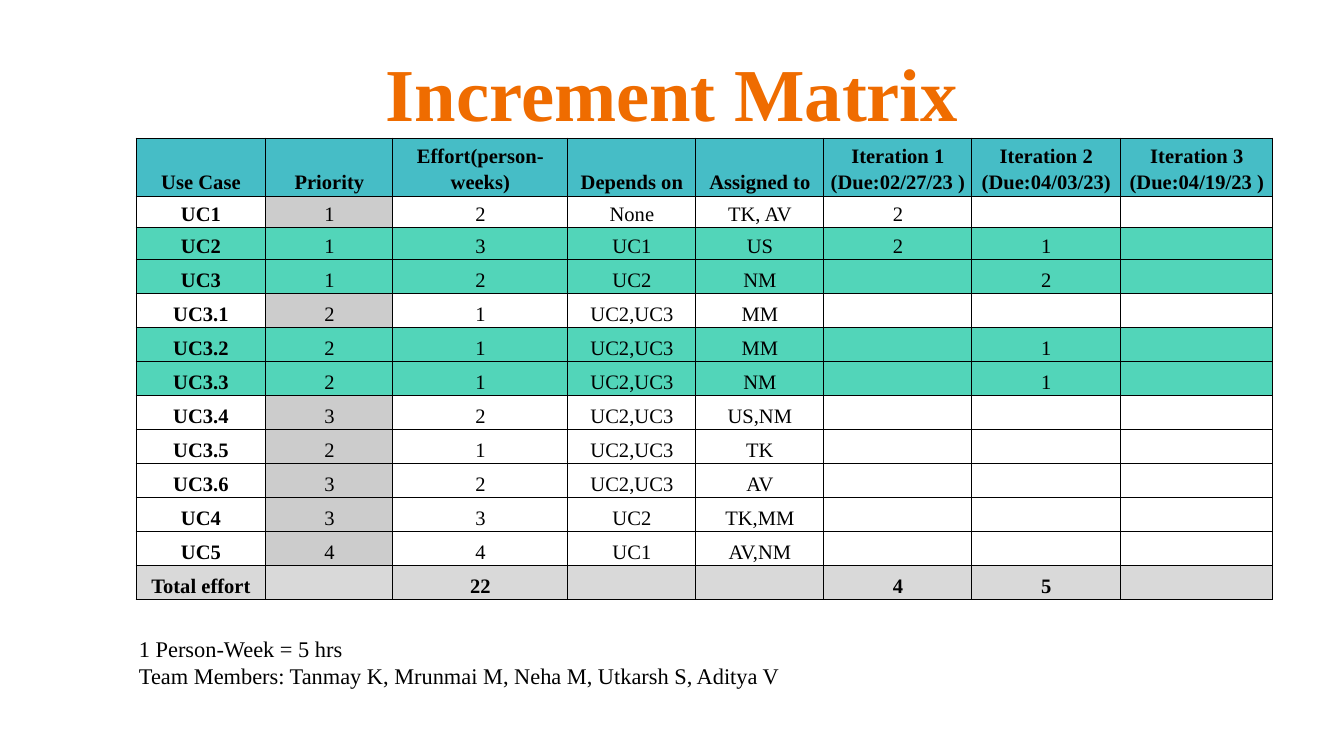
from dataclasses import dataclass

from lxml.etree import SubElement
from pptx import Presentation
from pptx.dml.color import RGBColor
from pptx.enum.text import MSO_ANCHOR as Anchor, MSO_AUTO_SIZE as AutoSize, PP_ALIGN as Align
from pptx.oxml.ns import qn
from pptx.util import Emu, Pt

EMU_PER_PX = 914400 / 134.4


def px(value):
    return Emu(round(value * EMU_PER_PX))


@dataclass(frozen=True)
class Theme:
    font: str = "Times New Roman"
    title: str = "EF6C00"
    text: str = "000000"
    border: str = "000000"
    header: str = "46BDC6"
    planned: str = "52D5B9"
    priority: str = "CCCCCC"
    total: str = "D9D9D9"
    title_size: int = 40
    table_size: int = 11
    note_size: int = 12
    border_width: float = 0.6


HEADERS = [
    "Use Case", "Priority", "Effort(person-weeks)", "Depends on", "Assigned to",
    "Iteration 1\n(Due:02/27/23 )", "Iteration 2\n(Due:04/03/23)", "Iteration 3\n(Due:04/19/23 )",
]
USE_CASES = [
    ["UC1", "1", "2", "None", "TK, AV", "2", "", ""],
    ["UC2", "1", "3", "UC1", "US", "2", "1", ""],
    ["UC3", "1", "2", "UC2", "NM", "", "2", ""],
    ["UC3.1", "2", "1", "UC2,UC3", "MM", "", "", ""],
    ["UC3.2", "2", "1", "UC2,UC3", "MM", "", "1", ""],
    ["UC3.3", "2", "1", "UC2,UC3", "NM", "", "1", ""],
    ["UC3.4", "3", "2", "UC2,UC3", "US,NM", "", "", ""],
    ["UC3.5", "2", "1", "UC2,UC3", "TK", "", "", ""],
    ["UC3.6", "3", "2", "UC2,UC3", "AV", "", "", ""],
    ["UC4", "3", "3", "UC2", "TK,MM", "", "", ""],
    ["UC5", "4", "4", "UC1", "AV,NM", "", "", ""],
]
TOTALS = ["Total effort", "", "22", "", "", "4", "5", ""]
PLANNED = {"UC2", "UC3", "UC3.2", "UC3.3"}
COLUMN_WIDTHS = [130, 127, 175, 128, 128, 148, 149, 152]
ROW_HEIGHTS = [58, 32, 32] + [34] * 10


class SlideBuilder:
    def __init__(self, slide, theme):
        self.slide = slide
        self.theme = theme

    def style(self, paragraph, size, color, bold=False, align=Align.LEFT):
        paragraph.alignment = align
        font = paragraph.font
        font.name, font.size, font.bold = self.theme.font, Pt(size), bold
        font.color.rgb = RGBColor.from_string(color)

    def frame(self, shape, top_inset=13):
        frame = shape.text_frame
        frame.word_wrap = True
        frame.auto_size = AutoSize.NONE
        frame.vertical_anchor = Anchor.TOP
        frame.margin_left = frame.margin_right = frame.margin_bottom = px(13)
        frame.margin_top = px(top_inset)
        return frame

    def title(self, text, left, top, width, height):
        shape = self.slide.shapes.title
        shape.left, shape.top, shape.width, shape.height = map(px, (left, top, width, height))
        frame = self.frame(shape, top_inset=22)
        frame.text = text
        self.style(frame.paragraphs[0], self.theme.title_size, self.theme.title, True, Align.CENTER)

    def note(self, text, left, top, width, height):
        shape = self.slide.shapes.add_textbox(*map(px, (left, top, width, height)))
        frame = self.frame(shape)
        frame.text = text
        for paragraph in frame.paragraphs:
            self.style(paragraph, self.theme.note_size, self.theme.text)

    def border(self, cell):
        properties = cell._tc.get_or_add_tcPr()
        for side in ("lnL", "lnR", "lnT", "lnB"):
            line = SubElement(properties, qn(f"a:{side}"), w=str(Pt(self.theme.border_width)))
            fill = SubElement(line, qn("a:solidFill"))
            SubElement(fill, qn("a:srgbClr"), val=self.theme.border)

    def cell(self, cell, text, fill, bold):
        self.border(cell)
        if fill:
            cell.fill.solid()
            cell.fill.fore_color.rgb = RGBColor.from_string(fill)
        else:
            cell.fill.background()
        cell.vertical_anchor = Anchor.BOTTOM
        cell.margin_left = cell.margin_right = px(4)
        cell.margin_top = cell.margin_bottom = px(2)
        cell.text = text
        size = self.theme.table_size
        for paragraph in cell.text_frame.paragraphs:
            self.style(paragraph, size, self.theme.text, bold, Align.CENTER)
            paragraph.line_spacing = 1.15
            if not text:
                SubElement(paragraph._p, qn("a:endParaRPr"), sz=str(size * 100))

    def row_fill(self, row, column):
        if row is HEADERS:
            return self.theme.header
        if row is TOTALS:
            return self.theme.total
        if row[0] in PLANNED:
            return self.theme.planned
        return self.theme.priority if column == 1 else None

    def matrix(self, rows, left, top):
        width, height = sum(COLUMN_WIDTHS), sum(ROW_HEIGHTS)
        table = self.slide.shapes.add_table(
            len(rows), len(COLUMN_WIDTHS), *map(px, (left, top, width, height))
        ).table
        table.first_row = table.horz_banding = False
        for column, column_width in zip(table.columns, COLUMN_WIDTHS):
            column.width = px(column_width)
        for row_index, row in enumerate(rows):
            table.rows[row_index].height = px(ROW_HEIGHTS[row_index])
            for column, text in enumerate(row):
                bold = column == 0 or row is HEADERS or row is TOTALS
                self.cell(table.cell(row_index, column), text, self.row_fill(row, column), bold)


def main():
    presentation = Presentation()
    presentation.slide_width, presentation.slide_height = px(1344), px(756)
    slide = presentation.slides.add_slide(presentation.slide_layouts[5])
    builder = SlideBuilder(slide, Theme())
    builder.title("Increment Matrix", 46, 25, 1252, 104)
    builder.matrix([HEADERS, *USE_CASES, TOTALS], 136, 138)
    builder.note(
        "1 Person-Week = 5 hrs\nTeam Members: Tanmay K, Mrunmai M, Neha M, Utkarsh S, Aditya V",
        126, 622, 685, 82,
    )
    presentation.save("out.pptx")


if __name__ == "__main__":
    main()
